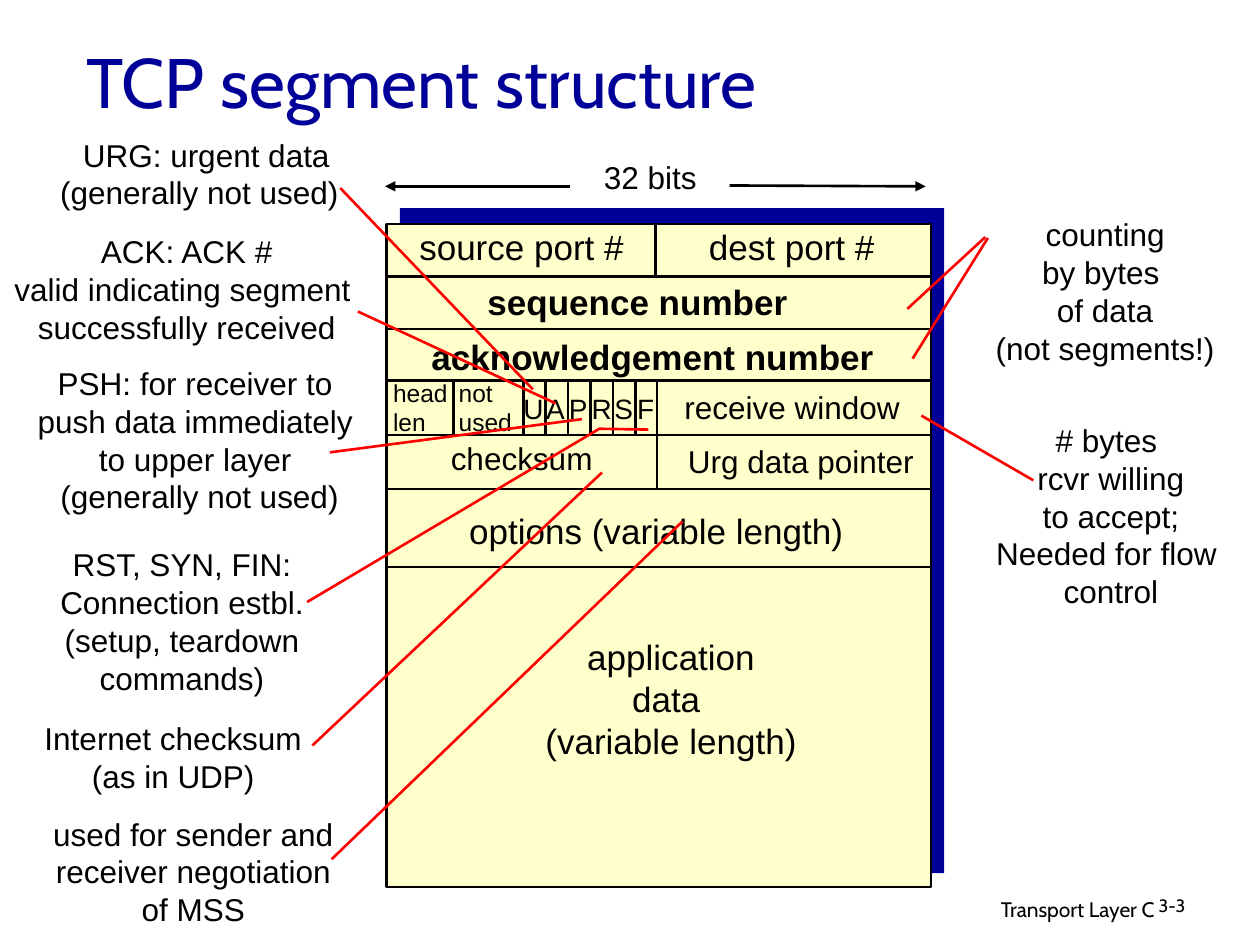
from dataclasses import dataclass

import pptx
import pptx.dml.color
import pptx.enum.shapes
import pptx.enum.text
import pptx.oxml.ns
import pptx.util
from lxml import etree

Pt = pptx.util.Pt
Align = pptx.enum.text.PP_ALIGN
Fit = pptx.enum.text.MSO_AUTO_SIZE
Rgb = pptx.dml.color.RGBColor.from_string


@dataclass(frozen=True)
class Theme:
    ink: str = "000000"
    navy: str = "000099"
    cream: str = "FFFFCC"
    red: str = "FF0000"
    sans: str = "Arial"
    head: str = "Cabin"
    title: float = 40
    field: float = 20
    note: float = 18
    flag: float = 16
    small: float = 14
    foot: float = 12
    page: float = 10.2
    stroke: float = 1.5


THEME = Theme()
SLACK = 3
SHIFT = {Align.LEFT: 0, Align.CENTER: SLACK / 2, Align.RIGHT: SLACK}


def write(frame, words, size=THEME.note, font=THEME.sans, color=THEME.ink,
          bold=False, align=Align.LEFT, space=None, wrap=False, fit=Fit.SHAPE_TO_FIT_TEXT):
    frame.text = words
    frame.word_wrap = wrap
    frame.auto_size = fit
    for para in frame.paragraphs:
        para.alignment = align
        para.line_spacing = space
        for run in para.runs:
            run.font.size = Pt(size)
            run.font.name = font
            run.font.bold = bold
            run.font.color.rgb = Rgb(color)


def label(slide, words, x, y, w, h, **form):
    if not form.get("wrap"):
        x -= SHIFT[form.get("align", Align.LEFT)]
        w += SLACK
    box = slide.shapes.add_textbox(Pt(x), Pt(y), Pt(w), Pt(h))
    write(box.text_frame, words, **form)


def block(slide, x, y, w, h, fill, edge=None):
    kind = pptx.enum.shapes.MSO_SHAPE.RECTANGLE
    rect = slide.shapes.add_shape(kind, Pt(x), Pt(y), Pt(w), Pt(h))
    rect.shadow.inherit = False
    rect.fill.solid()
    rect.fill.fore_color.rgb = Rgb(fill)
    if edge:
        rect.line.color.rgb = Rgb(edge)
        rect.line.width = Pt(THEME.stroke)
    else:
        rect.line.fill.background()


def line(slide, x1, y1, x2, y2, color=THEME.ink, arrow=False):
    kind = pptx.enum.shapes.MSO_CONNECTOR.STRAIGHT
    link = slide.shapes.add_connector(kind, Pt(x1), Pt(y1), Pt(x2), Pt(y2))
    link.line.color.rgb = Rgb(color)
    link.line.width = Pt(THEME.stroke)
    qn = pptx.oxml.ns.qn
    props = link.element.spPr
    if arrow:
        etree.SubElement(props.find(qn("a:ln")), qn("a:tailEnd"), type="triangle")
    etree.SubElement(props, qn("a:effectLst"))


def bent(slide, start, *rest):
    build = slide.shapes.build_freeform(Pt(start[0]), Pt(start[1]))
    build.add_line_segments([(Pt(x), Pt(y)) for x, y in rest], close=False)
    lead = build.convert_to_shape()
    lead.shadow.inherit = False
    lead.fill.background()
    lead.line.color.rgb = Rgb(THEME.red)
    lead.line.width = Pt(THEME.stroke)


def header(slide):
    title = slide.shapes.title
    title.left, title.top, title.width, title.height = Pt(42), Pt(15.5), Pt(612), Pt(61)
    write(title.text_frame, "TCP segment structure", size=THEME.title, font=THEME.head,
          color=THEME.navy, wrap=True, fit=Fit.NONE)
    title.text_frame.vertical_anchor = pptx.enum.text.MSO_ANCHOR.MIDDLE
    label(slide, "Transport Layer C", 439, 509, 228, 22, size=THEME.foot, font=THEME.head,
          align=Align.RIGHT, wrap=True, fit=Fit.NONE)
    label(slide, "3-3", 655, 509, 53, 22, size=THEME.page, font=THEME.head,
          space=0.9, wrap=True, fit=Fit.NONE)


def segment(slide):
    left, top, width, height = 221, 128, 311, 379
    block(slide, 228.5, 119, width, 380, THEME.navy)
    block(slide, left, top, width, height, THEME.cream, THEME.ink)

    rows = [158, 188, 217.5, 248.5, 279.5, 324]
    for y in rows:
        line(slide, left, y, left + width, y)
    line(slide, 374.5, top, 374.5, rows[0])
    line(slide, 375.5, rows[2], 375.5, rows[4])
    for x in [259] + [299 + 12.8 * i for i in range(6)]:
        line(slide, x, rows[2], x, rows[3])

    label(slide, "32 bits", 338, 86.5, 67, 29)
    line(slide, 417, 106, 529, 106.5, arrow=True)
    line(slide, 325.5, 106.5, 220, 106.5, arrow=True)

    fields = [
        ("source port #", 232.5, 125.5, 131, {}),
        ("dest port #", 398, 125.5, 109, {}),
        ("sequence number", 271.5, 156.5, 196, {"bold": True, "wrap": True}),
        ("acknowledgement number", 239.5, 188, 269, {"bold": True, "wrap": True}),
        ("options (variable length)", 261, 287.5, 228, {}),
        ("application\ndata \n(variable length)", 304.5, 359.5, 158, {"align": Align.CENTER}),
    ]
    for words, x, y, w, form in fields:
        high = 7.2 + 24 * (words.count("\n") + 1)
        label(slide, words, x, y, w, high, size=THEME.field, **form)

    label(slide, "receive window", 384, 218, 137.5, 29)
    label(slide, "Urg data pointer", 386, 249, 143, 29)
    label(slide, "checksum", 250.5, 247.5, 95, 29)
    label(slide, "head\nlen", 217.5, 212.5, 45, 41, size=THEME.small)
    label(slide, "not\nused", 255, 212.5, 45, 41, size=THEME.small)
    for i, flag in enumerate("UAPRSF"):
        label(slide, flag, 292 + 13 * i, 220, 25.5, 26.5, size=THEME.flag)


def notes(slide):
    label(slide, "URG: urgent data \n(generally not used)", 27, 74, 173.5, 50.5,
          align=Align.RIGHT)
    remarks = [
        ("ACK: ACK #\nvalid indicating segment \vsuccessfully received", 1, 129, 211.5, 72, False),
        ("PSH: for receiver to \vpush data immediately \vto upper layer \n(generally not used)",
         0, 204.5, 228, 93.5, True),
        ("RST, SYN, FIN:\nConnection estbl. (setup, teardown\ncommands)", 0, 308, 208, 93.5, True),
        ("# bytes \nrcvr willing\nto accept;\nNeeded for flow \vcontrol", 562, 237, 145.5, 115, False),
        ("counting\nby bytes \nof data\n(not segments!)", 562, 119.5, 139, 93.5, False),
        ("Internet checksum\n(as in UDP)", 6.5, 407.5, 185, 50.5, True),
        ("used for sender and receiver negotiation of MSS", 15, 462, 191, 72, True),
    ]
    for words, x, y, w, h, wrap in remarks:
        label(slide, words, x, y, w, h, align=Align.CENTER, wrap=wrap)

    leads = [
        (194.5, 107.5, 304.5, 222.5),
        (204.5, 178, 317.5, 230.5),
        (188.5, 258.5, 332.5, 239.5),
        (178.5, 426, 344, 270),
        (590.5, 274.5, 526.5, 237.5),
        (564.5, 136, 521.5, 205),
        (563, 135.5, 518.5, 176.5),
        (189.5, 491, 390, 298),
    ]
    for ends in leads:
        line(slide, *ends, color=THEME.red)
    bent(slide, (175.5, 344), (342.5, 245), (370.5, 245.5))


def main():
    deck = pptx.Presentation()
    deck.slide_width, deck.slide_height = Pt(720), Pt(540)
    slide = deck.slides.add_slide(deck.slide_layouts[5])
    header(slide)
    segment(slide)
    notes(slide)
    deck.save("out.pptx")


if __name__ == "__main__":
    main()
